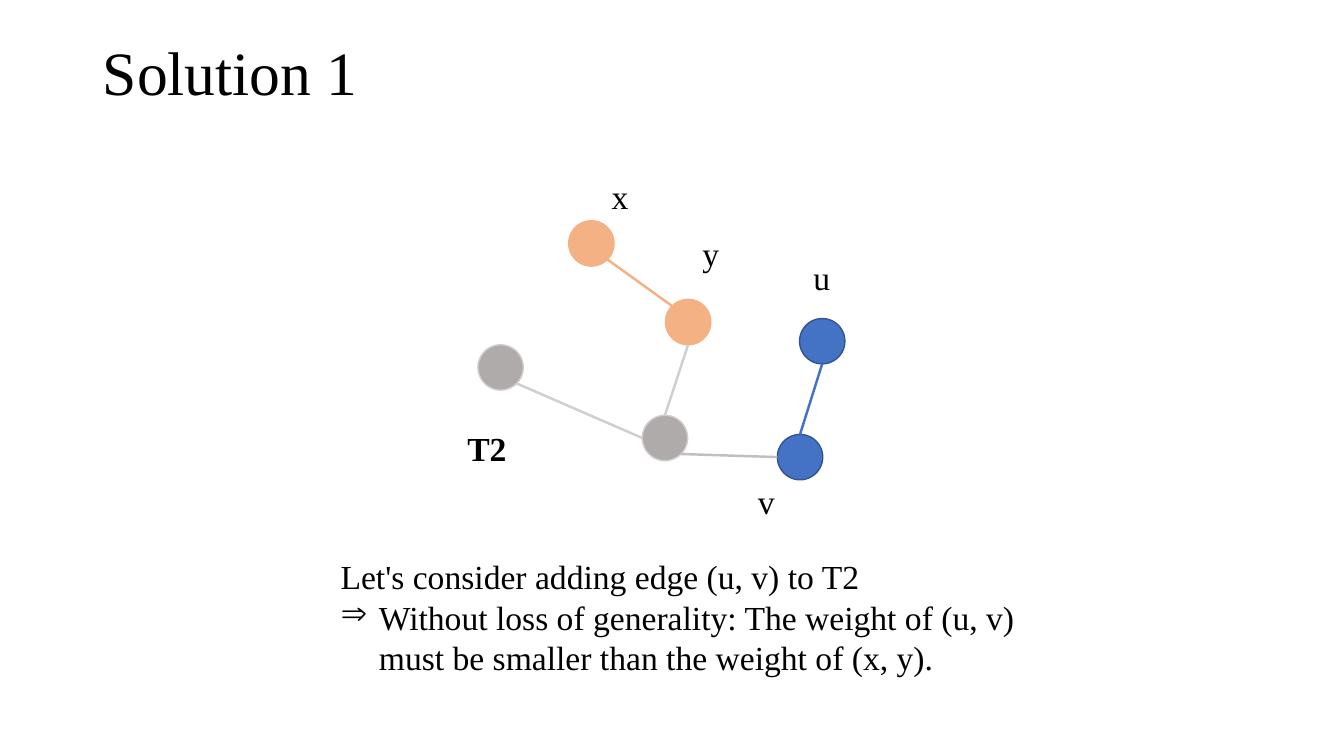
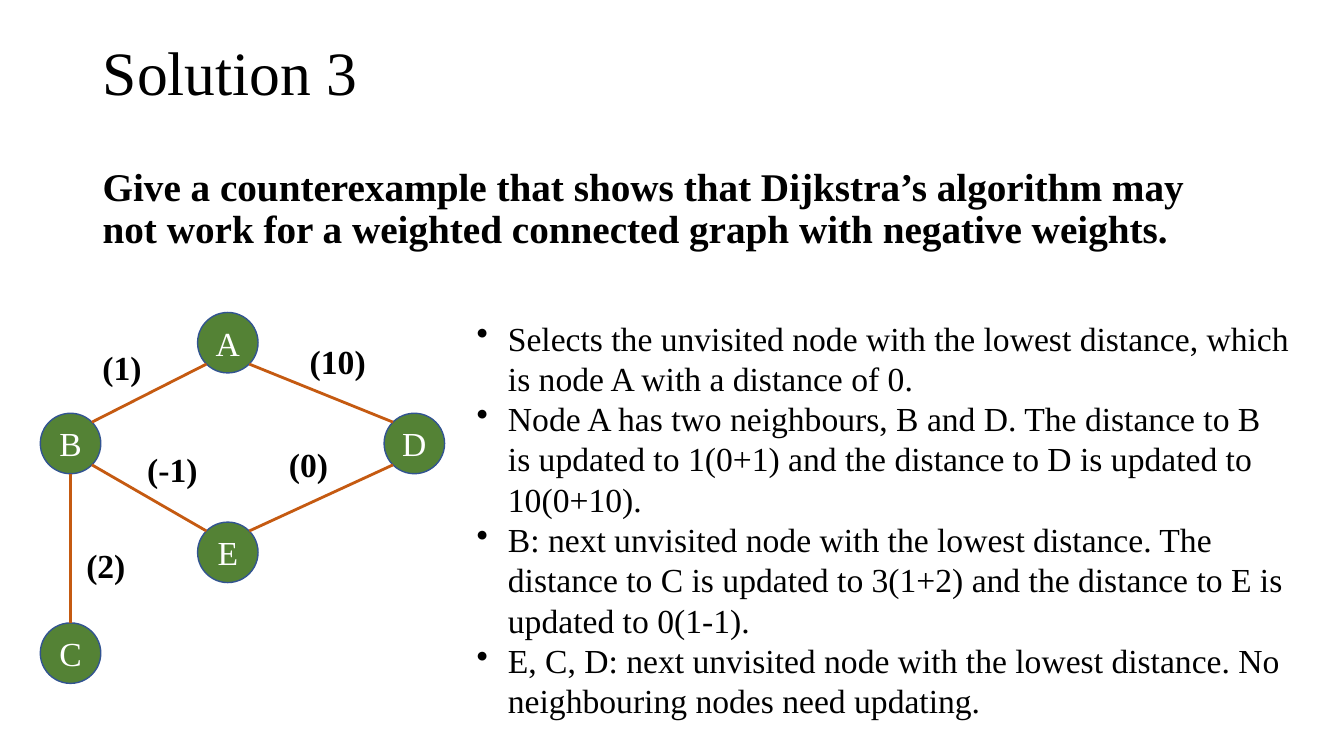
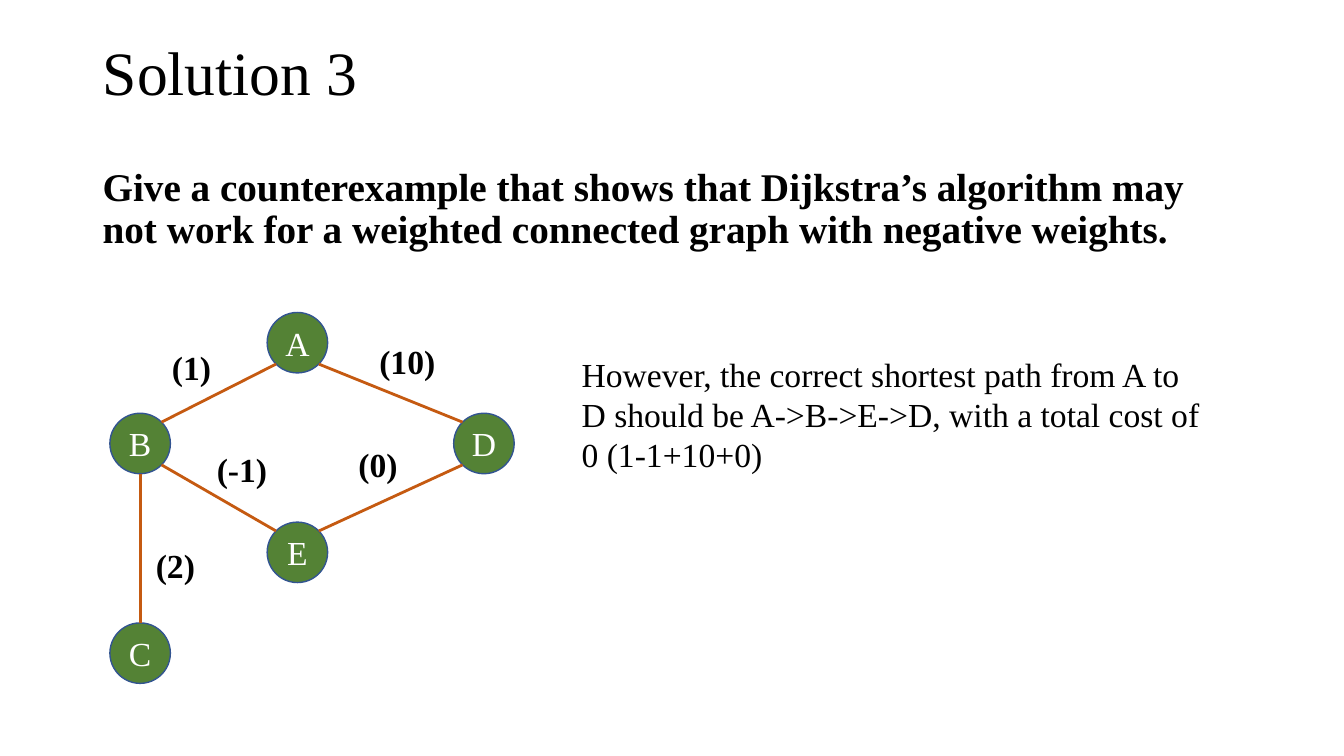
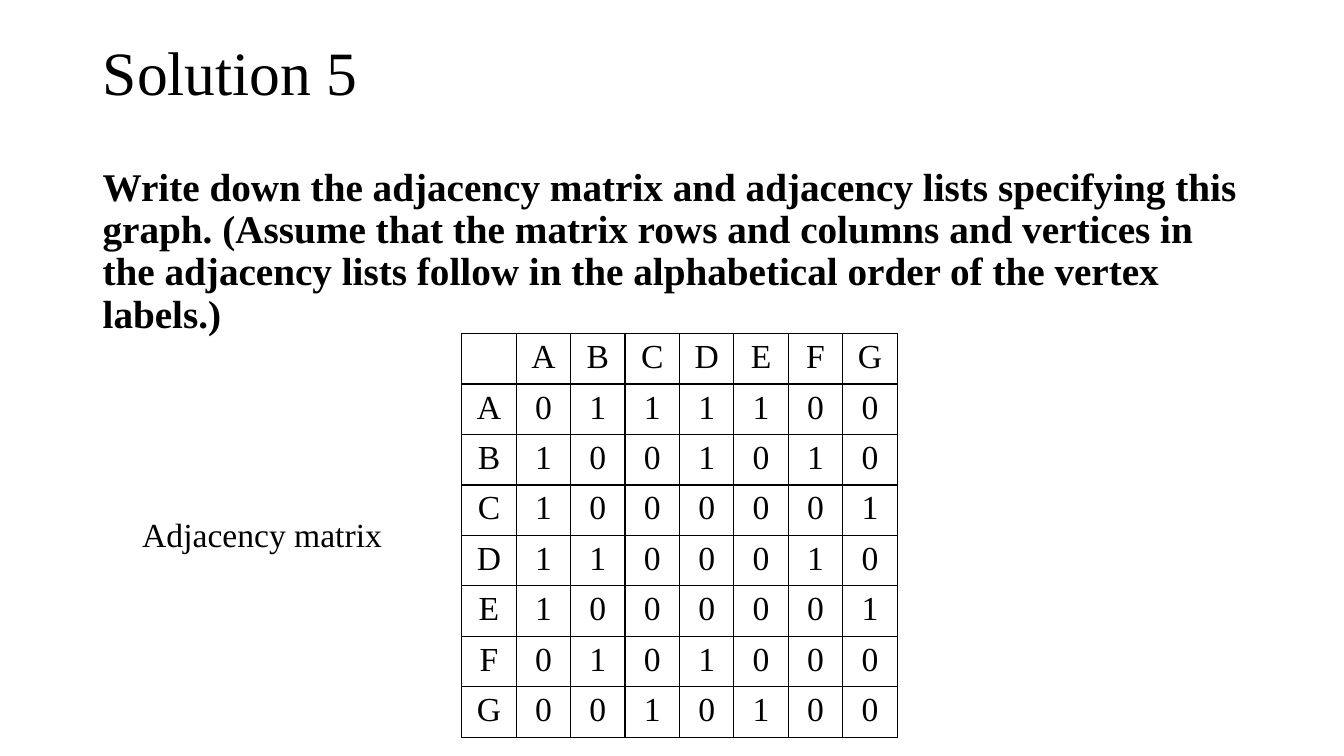
"""Build four slides of solutions to graph exercises."""
from math import sqrt

from lxml.etree import SubElement
from pptx import Presentation
from pptx.dml.color import RGBColor
from pptx.enum.shapes import MSO_CONNECTOR, MSO_SHAPE
from pptx.enum.text import MSO_ANCHOR as Anchor, MSO_AUTO_SIZE as AutoSize, PP_ALIGN as Align
from pptx.oxml.ns import qn
from pptx.util import Inches, Pt

BLACK = RGBColor(0x00, 0x00, 0x00)
WHITE = RGBColor(0xFF, 0xFF, 0xFF)
ORANGE = RGBColor(0xF4, 0xB1, 0x83)
GREY = RGBColor(0xAF, 0xAB, 0xAB)
PALE_GREY = RGBColor(0xD0, 0xCE, 0xCE)
MID_GREY = RGBColor(0xBF, 0xBF, 0xBF)
BLUE = RGBColor(0x44, 0x72, 0xC4)
DARK_BLUE = RGBColor(0x32, 0x54, 0x91)
GREEN = RGBColor(0x54, 0x82, 0x35)
RUST = RGBColor(0xC5, 0x5A, 0x11)

DIAGONAL = 1 / sqrt(2)
SITES = {
    "top": (0, -1), "bottom": (0, 1), "left": (-1, 0), "right": (1, 0),
    "top left": (-DIAGONAL, -DIAGONAL), "top right": (DIAGONAL, -DIAGONAL),
    "bottom left": (-DIAGONAL, DIAGONAL), "bottom right": (DIAGONAL, DIAGONAL),
}

DIJKSTRA_QUESTION = ("Give a counterexample that shows that Dijkstra’s algorithm may not work "
                     "for a weighted connected graph with negative weights.")
DIJKSTRA_STEPS = [
    "Selects the unvisited node with the lowest distance, which is node A with a distance of 0.",
    "Node A has two neighbours, B and D. The distance to B is updated to 1(0+1) "
    "and the distance to D is updated to 10(0+10).",
    "B: next unvisited node with the lowest distance. The distance to C is updated to 3(1+2) "
    "and the distance to E is updated to 0(1-1).",
    "E, C, D: next unvisited node with the lowest distance. "
    "No neighbouring nodes need updating.",
]
MATRIX_QUESTION = ("Write down the adjacency matrix and adjacency lists specifying this graph. "
                   "(Assume that the matrix rows and columns and vertices in the adjacency lists "
                   "follow in the alphabetical order of the vertex labels.)")
VERTICES = "ABCDEFG"
MATRIX = ["0111100", "1001010", "1000001", "1100010", "1000001", "0101000", "0010100"]

TREE_NODES = {
    "x": (5.64, 2.19, ORANGE, ORANGE),
    "y": (6.6, 2.97, ORANGE, ORANGE),
    "leaf": (4.74, 3.42, GREY, PALE_GREY),
    "hub": (6.37, 4.12, GREY, PALE_GREY),
    "u": (7.93, 3.16, BLUE, DARK_BLUE),
    "v": (7.71, 4.31, BLUE, DARK_BLUE),
}
TREE_EDGES = [
    ("hub", "left", "leaf", "bottom right", PALE_GREY),
    ("y", "bottom", "hub", "top", PALE_GREY),
    ("x", "bottom right", "y", "top left", ORANGE),
    ("u", "bottom", "v", "top", BLUE),
    ("hub", "bottom right", "v", "left", MID_GREY),
]
TREE_LABELS = [("x", 6.15, 1.7), ("y", 7.05, 2.26), ("u", 8.15, 2.5), ("v", 7.6, 4.72)]

WEIGHTED_NODES = {"A": (1.56, 3.1), "B": (0, 4.1), "D": (3.41, 4.1),
                  "E": (1.56, 5.18), "C": (0, 6.18)}
WEIGHTED_EDGES = [
    ("A", "bottom left", "B", "top right"),
    ("B", "bottom", "C", "top"),
    ("B", "bottom right", "E", "top left"),
    ("D", "bottom left", "E", "top right"),
    ("A", "bottom right", "D", "top left"),
]
WEIGHTS = [("(1)", 0.81, 3.39), ("(-1)", 1.31, 4.4), ("(10)", 2.95, 3.33),
           ("(0)", 2.66, 4.35), ("(2)", 0.65, 5.36)]


class Deck:
    """Hold the shared style and the current slide."""

    FONT = "Times New Roman"
    BODY_SIZE = 24

    def __init__(self):
        """Start an empty widescreen presentation."""
        self.presentation = Presentation()
        self.presentation.slide_width = Inches(13.33)
        self.presentation.slide_height = Inches(7.5)
        self.slide = None

    def fill_text(self, frame, paragraphs, color=BLACK, size=BODY_SIZE, bold=False, **layout):
        """Fill a text frame with paragraphs of one format."""
        font_format = {"name": self.FONT, "size": Pt(size), "bold": bold}
        for index, words in enumerate(paragraphs):
            paragraph = frame.add_paragraph() if index else frame.paragraphs[0]
            run = paragraph.add_run()
            run.text = words
            run.font.color.rgb = color
            for target, values in ((run.font, font_format), (paragraph, layout)):
                for key, value in values.items():
                    setattr(target, key, value)

    def start_slide(self, title, question=None):
        """Add a slide with its title and, if given, the question."""
        self.slide = self.presentation.slides.add_slide(self.presentation.slide_layouts[5])
        heading = self.slide.shapes.title
        place = {"left": 0.92, "top": 0.02, "width": 11.5, "height": 1.45}
        for key, value in place.items():
            setattr(heading, key, Inches(value))
        heading.text_frame.auto_size = AutoSize.NONE
        heading.text_frame.vertical_anchor = Anchor.MIDDLE
        self.fill_text(heading.text_frame, [title], size=44, alignment=Align.LEFT,
                       line_spacing=0.9)
        if question:
            self.text([question], 0.92, 1.61, 11.5, 1.7, size=28, bold=True, line_spacing=0.9)

    def text(self, paragraphs, left, top, width, height, wrap=True, **style):
        """Add a text box and return its paragraphs."""
        box = self.slide.shapes.add_textbox(*map(Inches, (left, top, width, height)))
        box.text_frame.word_wrap = wrap
        self.fill_text(box.text_frame, paragraphs, **style)
        return box.text_frame.paragraphs

    def label(self, words, center, top, bold=False):
        """Add a short text centred on a given position."""
        self.text([words], center - 0.38, top, 0.76, 0.5, wrap=False, bold=bold,
                  alignment=Align.CENTER)

    def bullet(self, paragraph, mark, indent):
        """Give a paragraph a bullet with a hanging indent."""
        properties = paragraph._p.get_or_add_pPr()
        properties.set("marL", str(Inches(indent)))
        properties.set("indent", str(Inches(-indent)))
        SubElement(properties, qn("a:buChar")).set("char", mark)

    def node(self, left, top, size, fill, outline, words=""):
        """Add a round graph node."""
        circle = self.slide.shapes.add_shape(
            MSO_SHAPE.OVAL, *map(Inches, (left, top, size, size)))
        circle.shadow.inherit = False
        circle.fill.solid()
        circle.fill.fore_color.rgb = fill
        circle.line.color.rgb = outline
        circle.line.width = Pt(1)
        if words:
            frame = circle.text_frame
            frame_format = {"margin_left": 0, "margin_right": 0, "word_wrap": False,
                            "vertical_anchor": Anchor.MIDDLE}
            for key, value in frame_format.items():
                setattr(frame, key, value)
            self.fill_text(frame, [words], WHITE, alignment=Align.CENTER)
        return circle

    def edge(self, start, start_site, end, end_site, color, width):
        """Draw a line between the rims of two nodes."""
        ends = []
        for circle, site in ((start, start_site), (end, end_site)):
            across, down = SITES[site]
            radius = circle.width / 2
            ends += [round(circle.left + radius * (1 + across)),
                     round(circle.top + radius * (1 + down))]
        line = self.slide.shapes.add_connector(MSO_CONNECTOR.STRAIGHT, *ends)
        line.line.color.rgb = color
        line.line.width = Pt(width)
        SubElement(line._element.spPr, qn("a:effectLst"))

    def weighted_graph(self, left):
        """Draw the weighted graph from a given left edge."""
        nodes = {name: self.node(left + x, y, 0.6, GREEN, DARK_BLUE, name)
                 for name, (x, y) in WEIGHTED_NODES.items()}
        for start, start_site, end, end_site in WEIGHTED_EDGES:
            self.edge(nodes[start], start_site, nodes[end], end_site, RUST, 2)
        for weight, center, top in WEIGHTS:
            self.label(weight, left + center, top, bold=True)

    def grid(self, rows, left, top, column_width, row_height):
        """Add a plain table with black borders."""
        count = len(rows[0])
        table = self.slide.shapes.add_table(
            len(rows), count, *map(Inches, (left, top, column_width * count,
                                            row_height * len(rows)))).table
        table.first_row = table.horz_banding = False
        for column in table.columns:
            column.width = Inches(column_width)
        for row, values in zip(table.rows, rows):
            row.height = Inches(row_height)
            for cell, value in zip(row.cells, values):
                self.border(cell)
                cell.fill.background()
                if value:
                    self.fill_text(cell.text_frame, [value], alignment=Align.CENTER)

    def border(self, cell):
        """Draw a thin black line on each side of a cell."""
        properties = cell._tc.get_or_add_tcPr()
        for side in ("a:lnL", "a:lnR", "a:lnT", "a:lnB"):
            line = SubElement(properties, qn(side), w=str(Pt(1)))
            fill = SubElement(line, qn("a:solidFill"))
            SubElement(fill, qn("a:srgbClr")).set("val", str(BLACK))


def spanning_tree_slide(deck):
    """Show the tree T2 and the edge to be added."""
    deck.start_slide("Solution 1")
    nodes = {name: deck.node(left, top, 0.45, fill, outline)
             for name, (left, top, fill, outline) in TREE_NODES.items()}
    for start, start_site, end, end_site, color in TREE_EDGES:
        deck.edge(nodes[start], start_site, nodes[end], end_site, color, 1.75)
    for name, center, top in TREE_LABELS:
        deck.label(name, center, top)
    deck.label("T2", 4.83, 4.2, bold=True)
    argument = deck.text(
        ["Let's consider adding edge (u, v) to T2",
         "Without loss of generality: The weight of (u, v) must be smaller than "
         "the weight of (x, y)."], 3.28, 5.47, 7.53, 1.31)
    deck.bullet(argument[1], "⇒", 0.38)


def dijkstra_steps_slide(deck):
    """Show the steps of the algorithm beside the graph."""
    deck.start_slide("Solution 3", DIJKSTRA_QUESTION)
    deck.weighted_graph(0.4)
    for step in deck.text(DIJKSTRA_STEPS, 4.63, 3.1, 8.27, 4.14):
        deck.bullet(step, "•", 0.31)


def shortest_path_slide(deck):
    """Show the correct answer beside the graph."""
    deck.start_slide("Solution 3", DIJKSTRA_QUESTION)
    deck.text(["However, the correct shortest path from A to D should be A->B->E->D, "
               "with a total cost of 0 (1-1+10+0)"], 5.67, 3.46, 6.34, 1.31)
    deck.weighted_graph(1.09)


def adjacency_slide(deck):
    """Show the adjacency matrix."""
    deck.start_slide("Solution 5", MATRIX_QUESTION)
    rows = [["", *VERTICES]] + [[name, *values] for name, values in zip(VERTICES, MATRIX)]
    deck.grid(rows, 4.58, 3.31, 0.54, 0.48)
    deck.text(["Adjacency matrix"], 1.22, 5.05, 2.76, 0.5, alignment=Align.CENTER)


def main():
    """Build and save the presentation."""
    deck = Deck()
    for build in (spanning_tree_slide, dijkstra_steps_slide, shortest_path_slide,
                  adjacency_slide):
        build(deck)
    deck.presentation.save("out.pptx")


if __name__ == "__main__":
    main()
